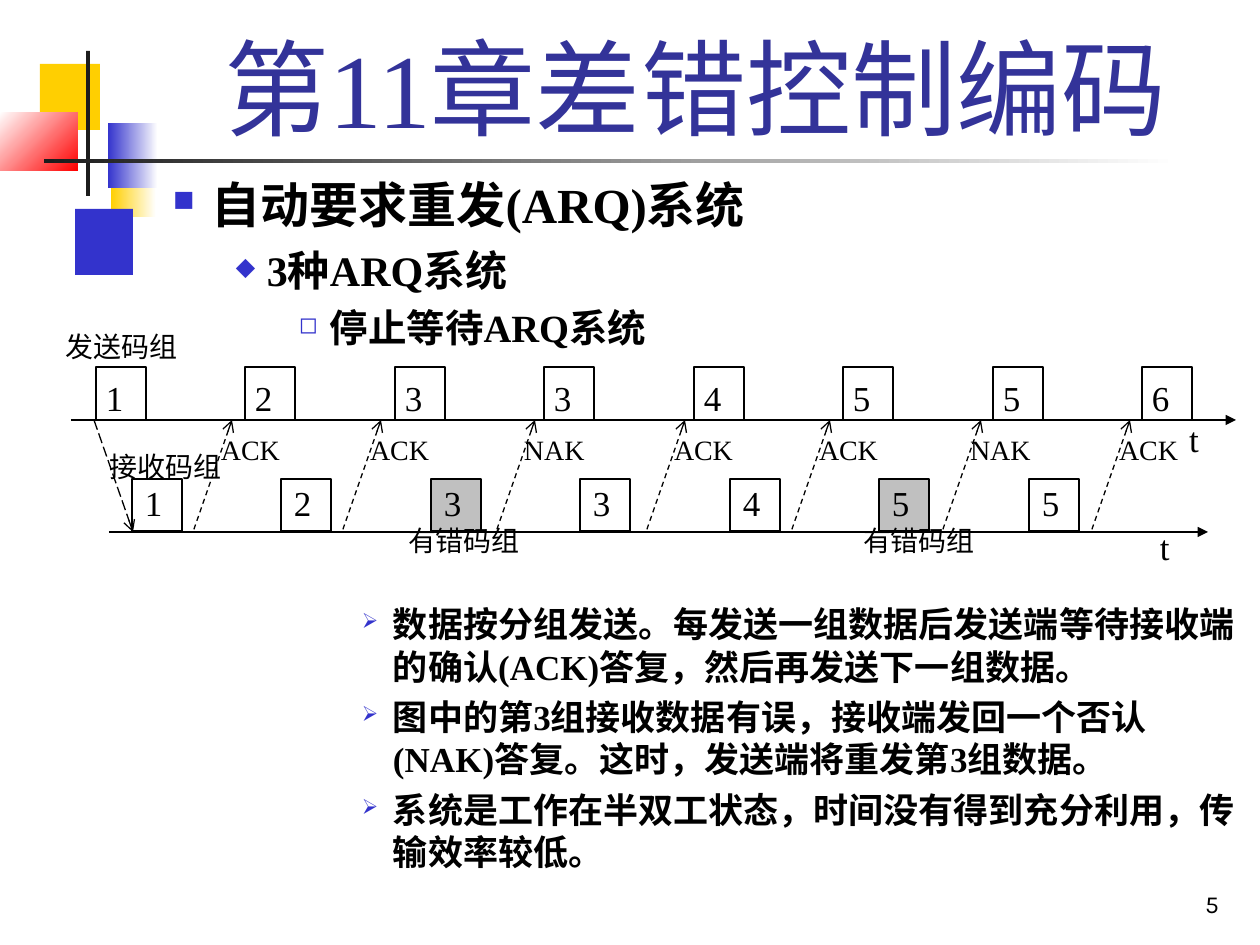
from lxml import etree
from pptx import Presentation, util as u
from pptx.dml.color import RGBColor
from pptx.enum import dml, shapes, text
from pptx.oxml import ns

PX = 914400 / 126
SERIF = "Times New Roman"
BLUE, YELLOW, RED, DARK = "3333CC", "FFCF01", "FF0000", "1C1C1C"
BLACK, WHITE, GRAY = "000000", "FFFFFF", "C0C0C0"

# Content
TITLE = "第11章差错控制编码"
# level: bullet, left indent, hanging indent, font size, space before
LEVELS = {
    1: ("■", 102, 39, 28, 7),
    2: ("◆", 157, 31, 24, 6),
    3: ("◻", 220, 31, 22, 5.5),
    4: ("➢", 283, 31, 20, 5),
}
HEADINGS = [(1, "自动要求重发(ARQ)系统"), (2, "3种ARQ系统"), (3, "停止等待ARQ系统")]
NOTES = [
    (4, "数据按分组发送。每发送一组数据后发送端等待接收端的确认(ACK)答复，然后再发送下一组数据。"),
    (4, "图中的第3组接收数据有误，接收端发回一个否认(NAK)答复。这时，发送端将重发第3组数据。"),
    (4, "系统是工作在半双工状态，时间没有得到充分利用，传输效率较低。"),
]
SENT = ["1", "2", "3", "3", "4", "5", "5", "6"]
RECEIVED = ["1", "2", "3", "3", "4", "5", "5"]
FAULTY = (2, 5)
# reply and the x where its arrow reaches the sender axis
REPLIES = [("ACK", 232), ("ACK", 381), ("NAK", 535), ("ACK", 685),
           ("ACK", 830), ("NAK", 981), ("ACK", 1130)]
# text, size, box, side inset, anchor
LABELS = [
    ("发送码组", 16, (66, 324, 130, 43), 0, "TOP"),
    ("接收码组", 16, (110, 440, 127, 53), 0, "MIDDLE"),
    ("有错码组", 16, (408, 519, 132, 43), 0, "MIDDLE"),
    ("有错码组", 16, (863, 519, 132, 43), 0, "MIDDLE"),
    ("t", 20, (1176, 411, 84, 45), 13, "TOP"),
    ("t", 20, (1147, 519, 84, 45), 13, "TOP"),
]
# box, colours from start to end, gradient angle
DECORATION = [
    ((111, 151, 45, 66), (YELLOW, WHITE), 0),
    ((75, 209, 58, 66), (BLUE,), 0),
    ((40, 64, 60, 66), (YELLOW,), 0),
    ((108, 123, 50, 65), (BLUE, WHITE), 0),
    ((0, 112, 78, 59), (WHITE, RED), 315),
    ((86, 51, 4, 145), (DARK,), 0),
    ((44, 159, 1134, 4), (DARK, WHITE), 0),
]
SEND_AXIS, RECEIVE_AXIS = 420, 532

presentation = Presentation()
presentation.slide_width, presentation.slide_height = u.Inches(10), u.Inches(7.5)
slide = presentation.slides.add_slide(presentation.slide_layouts[6])


def px(value):
    return u.Emu(round(value * PX))


def color(value):
    return RGBColor.from_string(value)


def set_frame(shape, insets, anchor="TOP"):
    frame = shape.text_frame
    frame.word_wrap = True
    frame.vertical_anchor = getattr(text.MSO_ANCHOR, anchor)
    (frame.margin_left, frame.margin_top,
     frame.margin_right, frame.margin_bottom) = map(px, insets)
    return frame


def add_run(paragraph, content, size, fill=BLACK, name=SERIF, bold=False):
    run = paragraph.add_run()
    run.text = content
    run.font.size, run.font.name, run.font.bold = u.Pt(size), name, bold
    run.font.color.rgb = color(fill)


def add_text(content, size, box, side=13, anchor="TOP", align="LEFT", **style):
    shape = slide.shapes.add_textbox(*map(px, box))
    paragraph = set_frame(shape, (side, 6, side, 6), anchor).paragraphs[0]
    paragraph.alignment = getattr(text.PP_ALIGN, align)
    add_run(paragraph, content, size, **style)


def add_rectangle(box, colors, angle=0):
    shape = slide.shapes.add_shape(shapes.MSO_SHAPE.RECTANGLE, *map(px, box))
    shape.shadow.inherit = False
    shape.line.fill.background()
    if len(colors) == 1:
        shape.fill.solid()
        shape.fill.fore_color.rgb = color(colors[0])
    else:
        shape.fill.gradient()
        shape.fill.gradient_angle = angle
        for stop, value in zip(shape.fill.gradient_stops, colors):
            stop.color.rgb = color(value)
    return shape


def add_arrow(start, end, tag="tailEnd", head="triangle", dash=None):
    connector = slide.shapes.add_connector(
        shapes.MSO_CONNECTOR.STRAIGHT, *map(px, start + end))
    connector.line.color.rgb = color(BLACK)
    connector.line.width = u.Pt(0.75)
    if dash:
        connector.line.dash_style = dash
    properties = connector._element.spPr
    etree.SubElement(properties.find(ns.qn("a:ln")), ns.qn("a:" + tag), type=head)
    etree.SubElement(properties, ns.qn("a:effectLst"))


def add_bullets(items, box):
    frame = set_frame(slide.shapes.add_textbox(*map(px, box)), (13, 6, 13, 6))
    for index, (level, content) in enumerate(items):
        bullet, indent, hanging, size, before = LEVELS[level]
        paragraph = frame.add_paragraph() if index else frame.paragraphs[0]
        if index:
            paragraph.space_before = u.Pt(before)
        properties = paragraph._p.get_or_add_pPr()
        properties.set("marL", str(px(indent)))
        properties.set("indent", str(px(-hanging)))
        bullet_color = etree.SubElement(properties, ns.qn("a:buClr"))
        etree.SubElement(bullet_color, ns.qn("a:srgbClr"), val=BLUE)
        etree.SubElement(properties, ns.qn("a:buSzPct"), val="60000")
        etree.SubElement(properties, ns.qn("a:buChar"), char=bullet)
        add_run(paragraph, content, size, bold=True)


def add_code_groups(numbers, left, top, height, insets, faulty=()):
    for index, number in enumerate(numbers):
        box = (left + index * 299 // 2, top, 50, height)
        shape = add_rectangle(box, (GRAY if index in faulty else WHITE,))
        shape.line.color.rgb = color(BLACK)
        shape.line.width = u.Pt(0.75)
        paragraph = set_frame(shape, insets).paragraphs[0]
        paragraph.alignment = text.PP_ALIGN.LEFT
        add_run(paragraph, number, 20)


# Background decoration, page number and title
for box, colors, angle in DECORATION:
    add_rectangle(box, colors, angle)
add_text("5", 14, (970, 861, 262, 63), anchor="BOTTOM", align="RIGHT", name="Karla")
add_text(TITLE, 60, (159, 29, 1073, 127), anchor="BOTTOM", align="CENTER", fill="333399")

# Bulleted text above and below the diagram
add_bullets(HEADINGS, (97, 169, 1163, 190))
add_bullets(NOTES, (97, 597, 1163, 290))

# Code groups on the two time axes
add_code_groups(RECEIVED, 132, 479, 52, (13, 3, 0, 0), FAULTY)
add_code_groups(SENT, 96, 367, 53, (10, 10, 0, 0))
add_arrow((71, SEND_AXIS), (1236, SEND_AXIS))
add_arrow((109, RECEIVE_AXIS), (1208, RECEIVE_AXIS))

# Transmission and replies between the axes
add_arrow((94, SEND_AXIS), (133, RECEIVE_AXIS), head="arrow", dash=dml.MSO_LINE.LONG_DASH)
for reply, x in REPLIES:
    add_arrow((x, SEND_AXIS), (x - 39, RECEIVE_AXIS), "headEnd", "arrow", dml.MSO_LINE.DASH)
    add_text(reply, 16, (x - 24, 427, 97, 45))

# Labels
for content, size, box, side, anchor in LABELS:
    add_text(content, size, box, side, anchor)

presentation.save("out.pptx")
